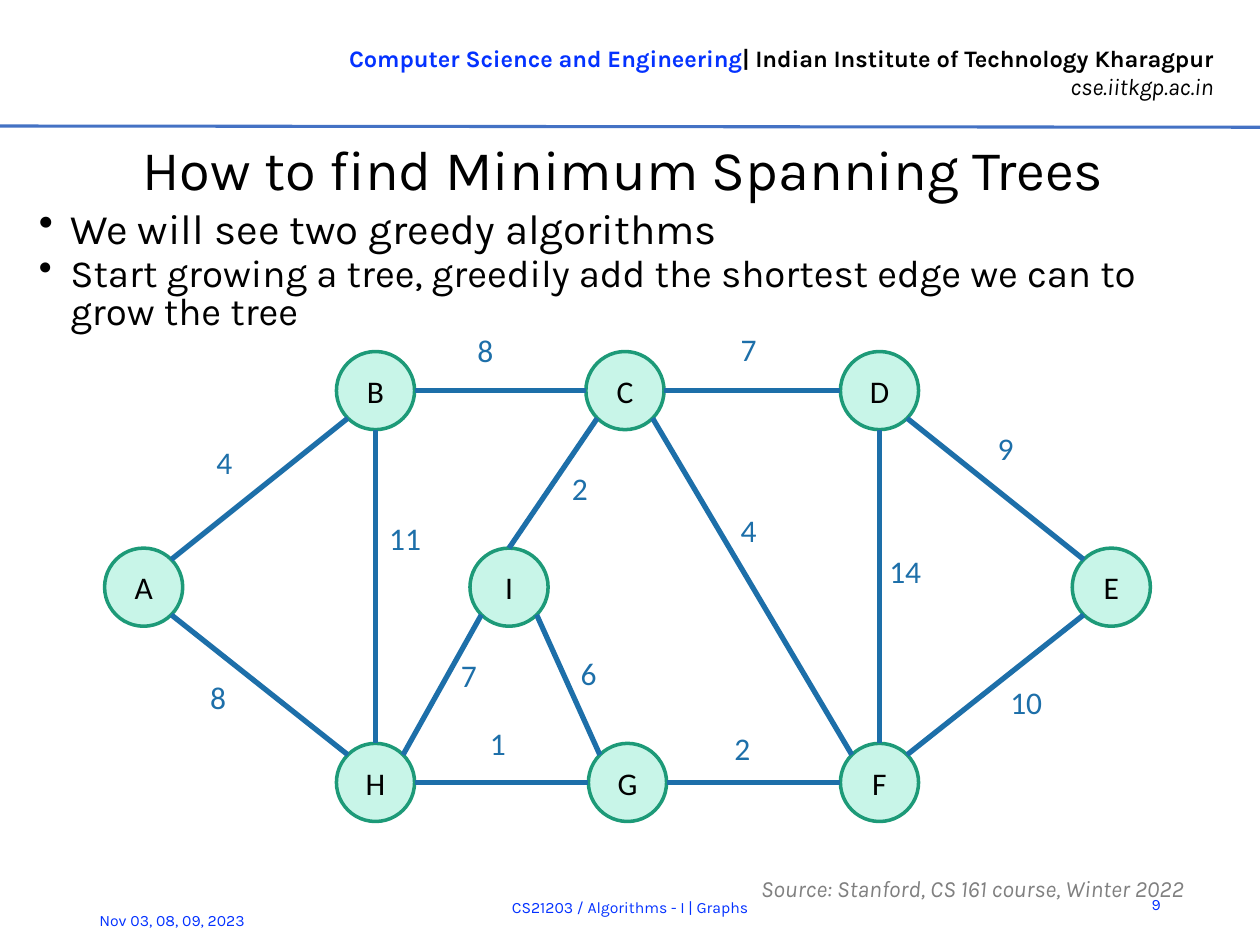
from math import hypot

from lxml import etree
from pptx import Presentation
from pptx import util as u
from pptx.dml.color import RGBColor
from pptx.enum import shapes, text
from pptx.oxml.ns import qn

BLUE, BLACK, GREY = "0432FF", "000000", "808080"
EDGE, NODE_FILL, NODE_LINE, RULE = "1D6FA9", "C8F5E8", "1D9A78", "4472C4"
LEFT, CENTER, RIGHT = text.PP_ALIGN.LEFT, text.PP_ALIGN.CENTER, text.PP_ALIGN.RIGHT
TOP, MIDDLE = text.MSO_ANCHOR.TOP, text.MSO_ANCHOR.MIDDLE
DIAMETER = 0.62

NODES = {
    "A": (0, 1.78), "B": (1.84, 0.22), "C": (3.82, 0.22),
    "D": (5.84, 0.22), "E": (7.68, 1.78), "F": (5.84, 3.33),
    "G": (3.84, 3.33), "H": (1.84, 3.33), "I": (2.9, 1.78),
}
SITES = {
    "n": (0, -1), "s": (0, 1), "w": (-1, 0), "e": (1, 0),
    "nw": (-1, -1), "ne": (1, -1), "sw": (-1, 1), "se": (1, 1),
}
EDGES = [
    ("A", "ne", "B", "sw", "4", 0.79, 0.9),
    ("A", "se", "H", "nw", "8", 0.74, 2.76),
    ("B", "e", "C", "w", "8", 2.86, 0.01),
    ("B", "s", "H", "n", "11", 2.16, 1.5),
    ("C", "e", "D", "w", "7", 4.95, 0),
    ("C", "sw", "I", "n", "2", 3.61, 1.1),
    ("C", "se", "F", "nw", "4", 4.95, 1.44),
    ("D", "se", "E", "nw", "9", 6.99, 0.79),
    ("D", "s", "F", "n", "14", 6.13, 1.76),
    ("E", "sw", "F", "ne", "10", 7.09, 2.8),
    ("G", "e", "F", "w", "2", 4.9, 3.17),
    ("H", "e", "G", "w", "1", 2.96, 3.13),
    ("I", "sw", "H", "ne", "7", 2.73, 2.59),
    ("I", "se", "G", "nw", "6", 3.68, 2.57),
]


def color(value):
    """Turn a hex string into a colour."""
    return RGBColor.from_string(value)


def style(font, size, fill, name="Karla", bold=False, italic=False):
    """Set the look of a paragraph or run font."""
    font.size, font.name, font.bold, font.italic = u.Pt(size), name, bold, italic
    font.color.rgb = color(fill)


def add_text(slide, box, content, size, fill, name="Karla", align=LEFT, anchor=TOP, italic=False):
    """Add a wrapped one-paragraph text box and return its frame."""
    frame = slide.shapes.add_textbox(*map(u.Inches, box)).text_frame
    frame.word_wrap, frame.vertical_anchor = True, anchor
    paragraph = frame.paragraphs[0]
    paragraph.text, paragraph.alignment = content, align
    style(paragraph.font, size, fill, name, italic=italic)
    return frame


def add_line(slide, start, end, stroke, width):
    """Add a straight line without a shadow."""
    line = slide.shapes.add_connector(
        shapes.MSO_CONNECTOR.STRAIGHT, *map(u.Inches, (*start, *end)))
    line.line.color.rgb, line.line.width = color(stroke), u.Pt(width)
    etree.SubElement(line._element.spPr, qn("a:effectLst"))


def add_header(slide, box):
    """Add the institute lines and the rule below them."""
    left, top, width, height = box
    frame = add_text(slide, box, "", 13.5, BLACK, align=RIGHT)
    frame.word_wrap = False
    first, second = frame.paragraphs[0], frame.add_paragraph()
    for content, fill in (("Computer Science and Engineering", BLUE),
                          ("| Indian Institute of Technology Kharagpur", BLACK)):
        run = first.add_run()
        run.text = content
        style(run.font, 13.5, fill, bold=True)
    second.text, second.alignment = "cse.iitkgp.ac.in", RIGHT
    style(second.font, 13.5, BLACK, italic=True)
    add_line(slide, (0, top + 0.7), (10, top + 0.71), RULE, 1.75)


def add_title(slide, box):
    """Add the centred slide title."""
    frame = add_text(slide, box, "How to find Minimum Spanning Trees", 32, BLACK,
                     align=CENTER, anchor=MIDDLE)
    frame.margin_left = frame.margin_right = frame.margin_bottom = 0
    frame.margin_top = u.Inches(0.02)


def add_bullets(slide, box, items):
    """Add the bulleted statements, each with its own size."""
    frame = slide.shapes.add_textbox(*map(u.Inches, box)).text_frame
    frame.word_wrap = True
    for index, (content, size) in enumerate(items):
        paragraph = frame.add_paragraph() if index else frame.paragraphs[0]
        paragraph.text = content
        properties = paragraph._p.get_or_add_pPr()
        properties.set("marL", str(u.Inches(0.25)))
        properties.set("indent", str(u.Inches(-0.25)))
        etree.SubElement(properties, qn("a:buChar"), char="•")
        paragraph.line_spacing = u.Pt(21.6)
        paragraph.space_before = u.Pt(1.3 if index else 0)
        paragraph.space_after = u.Pt(1.3)
        style(paragraph.font, size, BLACK)


def add_node(slide, left, top, name):
    """Add one labelled graph vertex."""
    shape = slide.shapes.add_shape(
        shapes.MSO_SHAPE.OVAL, *map(u.Inches, (left, top, DIAMETER, DIAMETER)))
    shape.shadow.inherit = False
    shape.fill.solid()
    shape.fill.fore_color.rgb = color(NODE_FILL)
    shape.line.color.rgb, shape.line.width = color(NODE_LINE), u.Pt(2)
    shape.text_frame.vertical_anchor = MIDDLE
    paragraph = shape.text_frame.paragraphs[0]
    paragraph.text, paragraph.alignment = name, CENTER
    style(paragraph.font, 18, BLACK, "Calibri")


def add_graph(slide, left, top):
    """Add the weighted graph with its vertices, edges and weights."""
    def site(name, side):
        """Find the point where an edge meets the rim of a vertex."""
        radius = DIAMETER / 2
        x, y = NODES[name]
        across, down = SITES[side]
        reach = radius / hypot(across, down)
        return left + x + radius + across * reach, top + y + radius + down * reach

    for name, (x, y) in NODES.items():
        add_node(slide, left + x, top + y, name)
    for start, start_side, end, end_side, weight, x, y in EDGES:
        add_line(slide, site(start, start_side), site(end, end_side), EDGE, 3)
        add_text(slide, (left + x, top + y, 0.86, 0.5), weight, 18, EDGE, "Calibri")


def add_footer(slide, left, top):
    """Add the source, date, course and page number."""
    source = add_text(slide, (left + 5.25, top, 4.02, 0.23),
                      "Source: Stanford, CS 161 course, Winter 2022",
                      13.3, GREY, anchor=MIDDLE, italic=True)
    source.paragraphs[0].line_spacing = u.Pt(21.3)
    for x, y, width, content, align in (
            (0, 0.2, 1.75, "Nov 03, 08, 09, 2023", LEFT),
            (0.96, 0.1, 6.7, "CS21203 / Algorithms - I | Graphs", CENTER),
            (8.13, 0.08, 0.49, "9", RIGHT)):
        add_text(slide, (left + x, top + y, width, 0.4), content, 9, BLUE,
                 align=align, anchor=MIDDLE)


def main():
    """Build and save the slide."""
    presentation = Presentation()
    presentation.slide_width, presentation.slide_height = u.Inches(10), u.Inches(7.5)
    slide = presentation.slides.add_slide(presentation.slide_layouts[6])
    add_header(slide, (2.65, 0.3, 7.08, 0.56))
    add_title(slide, (0.32, 1.05, 9.26, 0.55))
    add_bullets(slide, (0.21, 1.66, 9.37, 5.41), [
        ("We will see two greedy algorithms", 24),
        ("Start growing a tree, greedily add the shortest edge we can to grow the tree", 22),
    ])
    add_graph(slide, 0.83, 2.57)
    add_footer(slide, 0.69, 6.9)
    presentation.save("out.pptx")


if __name__ == "__main__":
    main()
